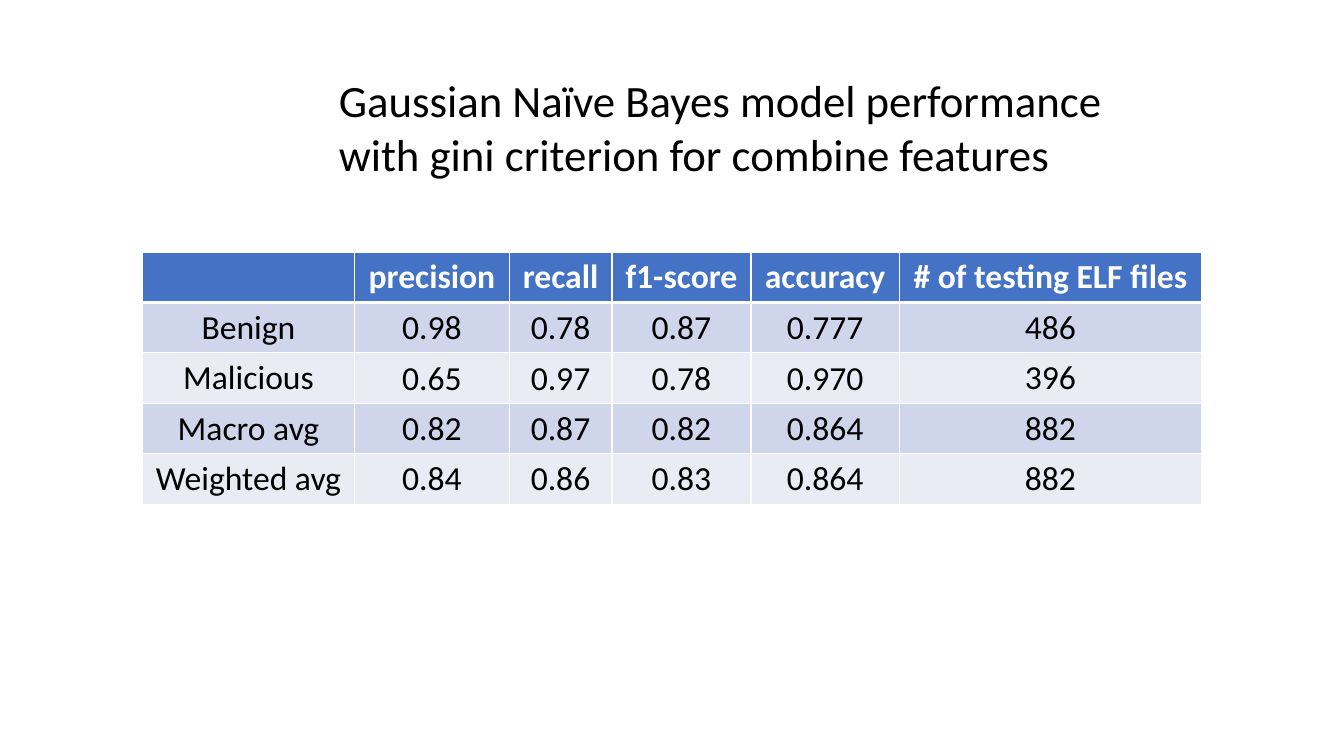
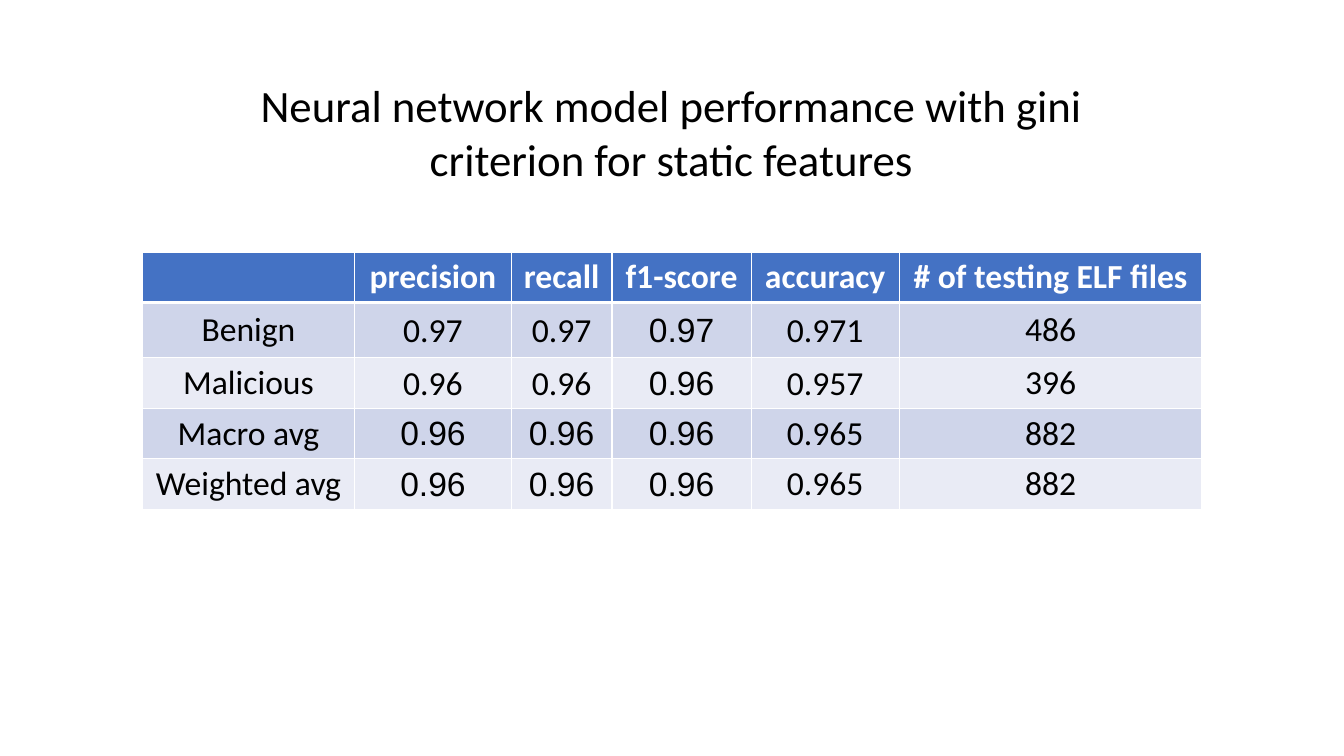
"""Build two slides that report classifier scores as tables."""
from dataclasses import dataclass

from lxml import etree
from pptx import Presentation
from pptx.dml.color import RGBColor
from pptx.enum import text as tx
from pptx.oxml import ns
from pptx.util import Inches, Pt

BLACK = RGBColor(0x00, 0x00, 0x00)
WHITE = RGBColor(0xFF, 0xFF, 0xFF)
BLUE = RGBColor(0x44, 0x72, 0xC4)
BANDS = (RGBColor(0xCF, 0xD5, 0xEA), RGBColor(0xE9, 0xEB, 0xF5))
FONT, ALT = "Calibri", "Arial"
LEFT, CENTER = tx.PP_ALIGN.LEFT, tx.PP_ALIGN.CENTER
HEADS = ("", "precision", "recall", "f1-score", "accuracy", "# of testing ELF files")
NAMES = ("Benign", "Malicious", "Macro avg", "Weighted avg")
FILES = ("486", "396", "882", "882")


@dataclass(frozen=True)
class Report:
    """Hold the title, scores and layout of one slide."""
    lines: tuple[str, ...]
    box: tuple[float, float, float, float]
    align: tx.PP_ALIGN
    scores: tuple[tuple[str, ...], ...]
    cols: tuple[float, ...]
    rows: tuple[float, ...]
    alt: frozenset[tuple[int, int]] = frozenset()


REPORTS = (
    Report(
        ("Gaussian Naïve Bayes model performance",
         "with gini criterion for combine features"),
        (3.26, 0.67, 7.95, 1.18), LEFT,
        (("0.98", "0.78", "0.87", "0.777"),
         ("0.65", "0.97", "0.78", "0.970"),
         ("0.82", "0.87", "0.82", "0.864"),
         ("0.84", "0.86", "0.83", "0.864")),
        (2.11, 1.53, 1.02, 1.38, 1.47, 3), (0.5,) * 5),
    Report(
        ("Neural network model performance with gini criterion for static features",),
        (2.33, 0.72, 8.66, 1.18), CENTER,
        (("0.97", "0.97", "0.97", "0.971"),
         ("0.96", "0.96", "0.96", "0.957"),
         ("0.96", "0.96", "0.96", "0.965"),
         ("0.96", "0.96", "0.96", "0.965")),
        (2.11, 1.55, 1, 1.38, 1.47, 3), (0.5, 0.55, 0.5, 0.5, 0.5),
        frozenset({(1, 3), (2, 3)} | {(r, c) for r in (3, 4) for c in (1, 2, 3)})),
)


def write(frame, *lines: str, size: float = 24, font: str = FONT,
          color: RGBColor = BLACK, bold: bool = False,
          align: tx.PP_ALIGN = CENTER) -> None:
    """Fill a text frame with one paragraph per line."""
    frame.text = "\n".join(lines)
    for para in frame.paragraphs:
        para.alignment = align
        face = para.font
        face.size, face.name, face.bold = Pt(size), font, bold
        face.color.rgb = color


def edge(cell, side: str, width: float) -> None:
    """Draw one white border of a cell."""
    line = etree.SubElement(cell._tc.get_or_add_tcPr(), ns.qn(f"a:ln{side}"),
                            w=str(Pt(width)))
    fill = etree.SubElement(line, ns.qn("a:solidFill"))
    etree.SubElement(fill, ns.qn("a:srgbClr"), val=str(WHITE))


def paint(cell, row: int) -> None:
    """Set the borders, fill and anchor of a cell."""
    for side in "LRTB":
        thick = (row, side) in ((0, "B"), (1, "T"))
        edge(cell, side, 3 if thick else 1)
    cell.fill.solid()
    cell.fill.fore_color.rgb = BANDS[(row - 1) % 2] if row else BLUE
    cell.vertical_anchor = tx.MSO_ANCHOR.MIDDLE


def title(slide, rep: Report) -> None:
    """Place and format the slide title."""
    head = slide.shapes.title
    head.left, head.top, head.width, head.height = map(Inches, rep.box)
    write(head.text_frame, *rep.lines, size=32, align=rep.align)
    head.text_frame.word_wrap = True
    head.text_frame.auto_size = tx.MSO_AUTO_SIZE.SHAPE_TO_FIT_TEXT
    head.text_frame.vertical_anchor = tx.MSO_ANCHOR.TOP


def table(slide, rep: Report) -> None:
    """Draw the score table."""
    grid = slide.shapes.add_table(
        len(rep.rows), len(rep.cols), Inches(1.41), Inches(2.5),
        Inches(sum(rep.cols)), Inches(sum(rep.rows))).table
    for col, width in zip(grid.columns, rep.cols):
        col.width = Inches(width)
    for row, height in zip(grid.rows, rep.rows):
        row.height = Inches(height)
    body = [(name, *vals, num) for name, vals, num in zip(NAMES, rep.scores, FILES)]
    for r, words in enumerate([HEADS, *body]):
        for c, word in enumerate(words):
            cell = grid.cell(r, c)
            paint(cell, r)
            if r and 0 < c < len(HEADS) - 1:
                cell.margin_left = cell.margin_right = cell.margin_top = Inches(0.01)
                cell.margin_bottom = 0
            write(cell.text_frame, word, font=ALT if (r, c) in rep.alt else FONT,
                  color=BLACK if r else WHITE, bold=r == 0)


def main() -> None:
    """Build and save the deck."""
    deck = Presentation()
    deck.slide_width, deck.slide_height = Inches(13.33), Inches(7.5)
    for rep in REPORTS:
        slide = deck.slides.add_slide(deck.slide_layouts[5])
        title(slide, rep)
        table(slide, rep)
    deck.save("out.pptx")


if __name__ == "__main__":
    main()
